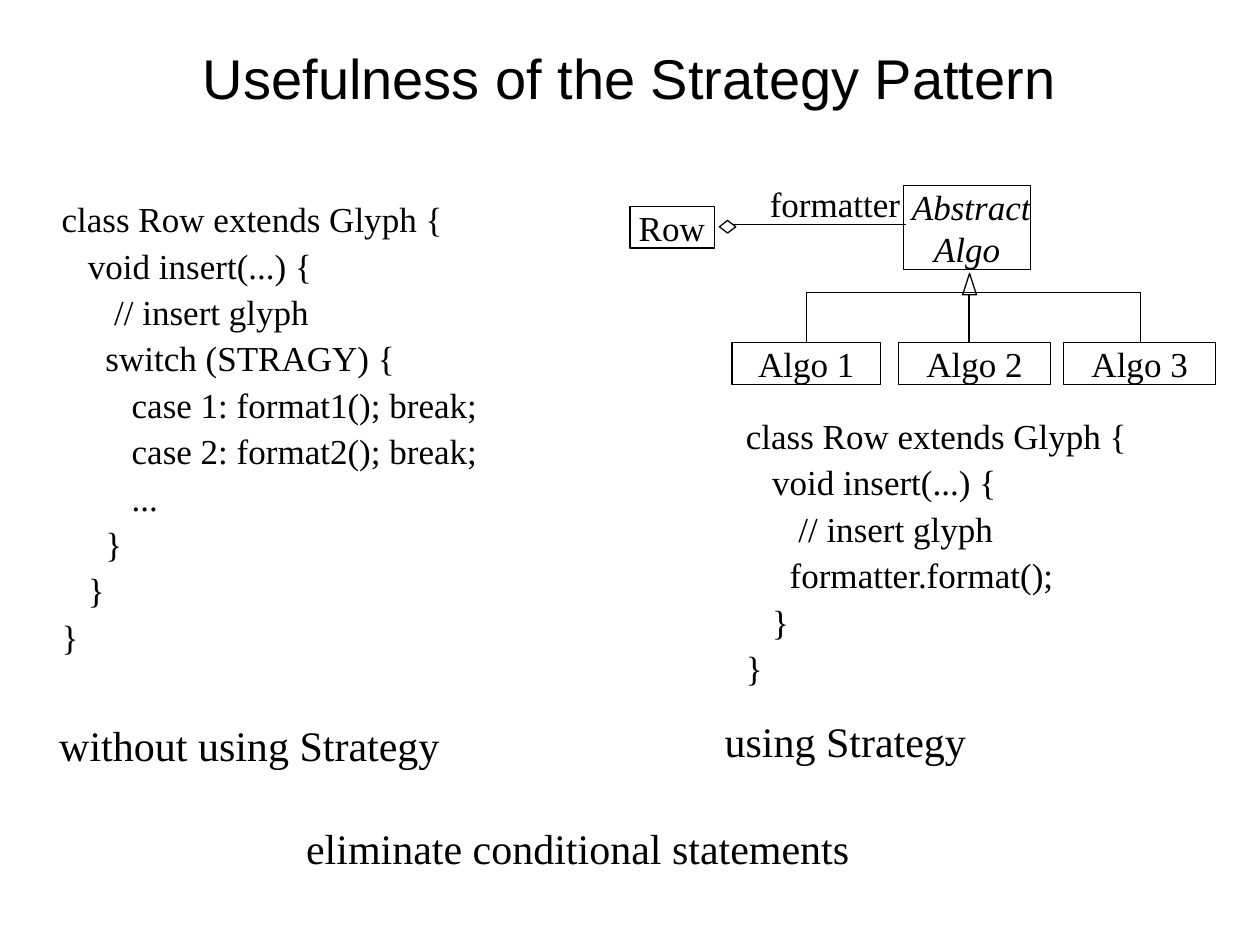
from lxml.etree import SubElement
from pptx import Presentation
from pptx.dml.color import RGBColor
from pptx.enum.shapes import MSO_CONNECTOR, MSO_SHAPE
from pptx.enum.text import MSO_ANCHOR, PP_ALIGN
from pptx.oxml.ns import qn
from pptx.util import Inches, Pt

COLORS = {"ink": "000000", "paper": "FFFFFF"}


class Deck:
    """Style and current slide; text lines are (indent in spaces, text)."""
    serif, sans = "Times New Roman", "Arial"
    line_width = Pt(0.74)

    def __init__(self, slide):
        self.s = slide
        fill = slide.background.fill
        fill.solid()
        fill.fore_color.rgb = self.color("paper")

    def color(self, name):
        return RGBColor.from_string(COLORS[name])

    def stroke(self, sp):
        sp.line.color.rgb = self.color("ink")
        sp.line.width = self.line_width

    def set_lines(self, tf, lines, size=20, font=serif, align=PP_ALIGN.LEFT,
                  wrap=True, before=0, italic=False, inset=0):
        frame = {"word_wrap": wrap, "vertical_anchor": MSO_ANCHOR.TOP,
                 "margin_left": inset, "margin_right": inset,
                 "margin_top": inset, "margin_bottom": inset}
        for key, value in frame.items():
            setattr(tf, key, value)
        for i, (indent, text) in enumerate(lines):
            p = tf.add_paragraph() if i else tf.paragraphs[0]
            para = {"alignment": align, "space_before": Pt(before),
                    "line_spacing": Pt(size * 1.2)}
            for key, value in para.items():
                setattr(p, key, value)
            if indent:  # one space is a quarter of the text size
                pPr = p._p.get_or_add_pPr()
                pPr.set("marL", str(Pt(indent * size / 4)))
                pPr.set("indent", "0")
            r = p.add_run()
            r.text = text
            for key, value in {"size": Pt(size), "name": font, "italic": italic}.items():
                setattr(r.font, key, value)
            r.font.color.rgb = self.color("ink")

    def title(self, text, *at):
        sp = self.s.shapes.title
        sp.left, sp.top, sp.width, sp.height = map(Inches, at)
        self.set_lines(sp.text_frame, [(0, text)], size=32, font=self.sans,
                       align=PP_ALIGN.CENTER, inset=Inches(0.05))
        sp.text_frame.vertical_anchor = MSO_ANCHOR.MIDDLE

    def text(self, lines, *at, **style):
        sp = self.s.shapes.add_textbox(*map(Inches, at))
        self.set_lines(sp.text_frame, lines, **style)

    def shape(self, kind, *at, lines=(), **style):
        sp = self.s.shapes.add_shape(kind, *map(Inches, at))
        sp.shadow.inherit = False
        sp.fill.background()
        self.stroke(sp)
        if lines:
            self.set_lines(sp.text_frame, lines, **style)

    def line(self, *ends):
        c = self.s.shapes.add_connector(MSO_CONNECTOR.STRAIGHT, *map(Inches, ends))
        self.stroke(c)
        SubElement(c._element.spPr, qn("a:effectLst"))

    def polyline(self, start, *points):
        fb = self.s.shapes.build_freeform(*map(Inches, start))
        fb.add_line_segments([tuple(map(Inches, pt)) for pt in points], close=False)
        sp = fb.convert_to_shape()
        sp.shadow.inherit = False
        sp.fill.background()
        self.stroke(sp)


prs = Presentation()
prs.slide_width, prs.slide_height = Inches(10), Inches(7.5)
deck = Deck(prs.slides.add_slide(prs.slide_layouts[5]))
deck.title("Usefulness of the Strategy Pattern", 0.5, 0.3, 9, 0.62)

# Class boxes
deck.shape(MSO_SHAPE.RECTANGLE, 7.17, 1.47, 1.01, 0.67, italic=True, wrap=False,
           lines=[(1, "Abstract"), (0, "Algo")], align=PP_ALIGN.CENTER)
for n, (left, width) in enumerate([(5.81, 1.18), (7.13, 1.21), (8.44, 1.21)], 1):
    deck.shape(MSO_SHAPE.RECTANGLE, left, 2.72, width, 0.33,
               lines=[(0, f"Algo {n}")], align=PP_ALIGN.CENTER)
deck.shape(MSO_SHAPE.RECTANGLE, 5, 1.64, 0.67, 0.33, lines=[(1, "Row")], wrap=False)

# Inheritance tree
deck.shape(MSO_SHAPE.ISOSCELES_TRIANGLE, 7.64, 2.17, 0.11, 0.17)
deck.line(7.69, 2.33, 7.69, 2.72)
deck.polyline((6.4, 2.72), (6.4, 2.32), (9.05, 2.32), (9.05, 2.72))

# Aggregation
deck.shape(MSO_SHAPE.DIAMOND, 5.71, 1.75, 0.13, 0.1)
deck.line(5.81, 1.78, 7.19, 1.78)
deck.text([(0, "formatter")], 6.11, 1.45, 1.04, 0.33, wrap=False)

# Code listings
opening = [(0, "class Row extends Glyph {"), (3, "void insert(...) {"),
           (6, "// insert glyph")]
closing = [(3, "}"), (0, "}")]
switch = [(5, "switch (STRAGY) {"), (8, "case 1: format1(); break;"),
          (8, "case 2: format2(); break;"), (8, "..."), (5, "}")]
deck.text(opening + switch + closing, 0.49, 1.57, 3.47, 4.01, before=2.5)
deck.text(opening + [(5, "formatter.format();")] + closing,
          5.92, 3.29, 3.47, 2.54, before=2.5)

# Captions
for caption, *at in [("without using Strategy", 0.47, 5.71, 3.02, 0.4),
                     ("using Strategy", 5.75, 5.68, 1.92, 0.4),
                     ("eliminate conditional statements", 2.43, 6.53, 5.9, 0.4)]:
    deck.text([(0, caption)], *at, size=24)

prs.save("out.pptx")
